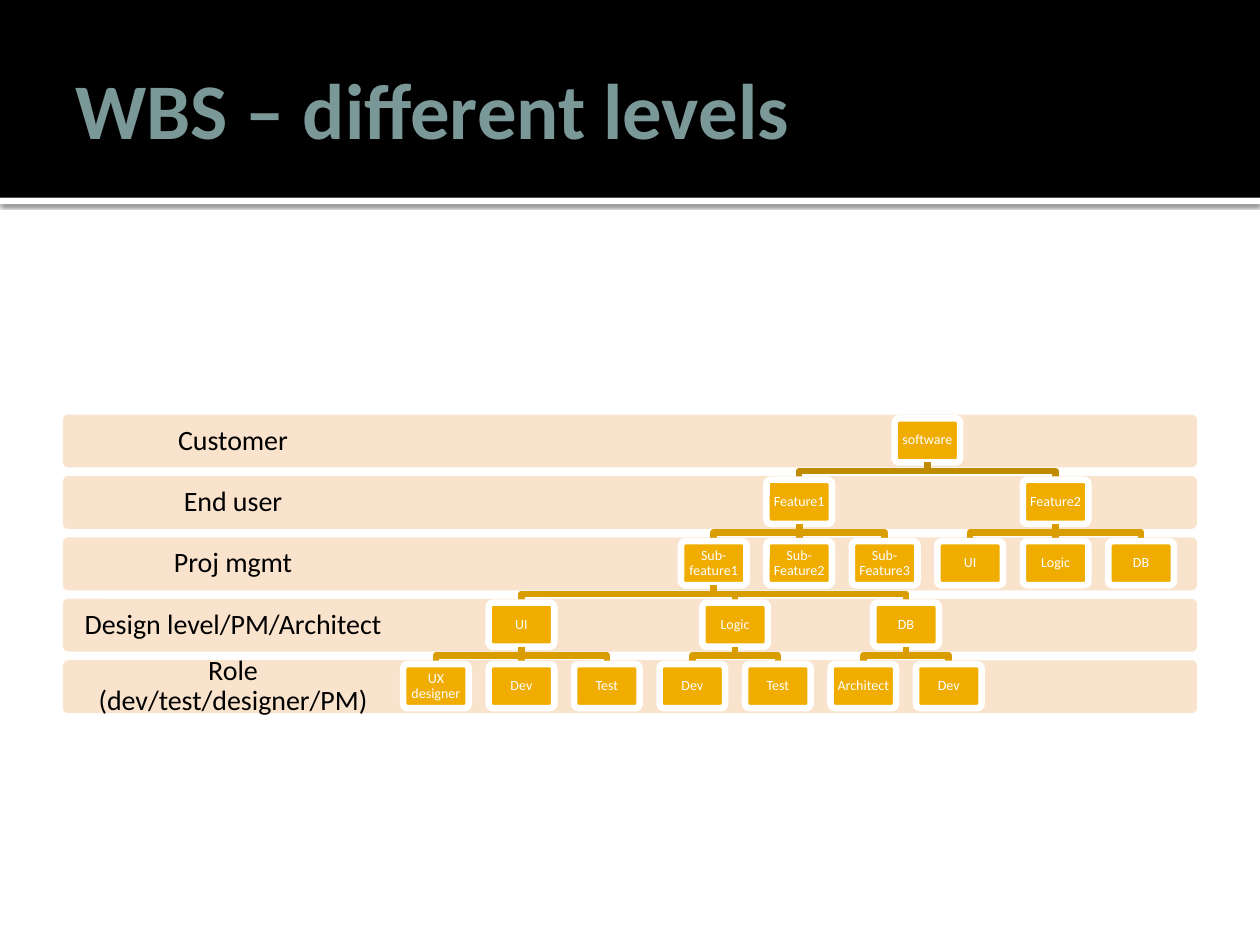
from dataclasses import dataclass, field
from typing import Optional

from lxml.etree import SubElement
from pptx import Presentation
from pptx.dml.color import RGBColor
from pptx.enum.shapes import MSO_CONNECTOR as Connector
from pptx.enum.shapes import MSO_SHAPE as Preset
from pptx.enum.text import MSO_ANCHOR as Anchor
from pptx.enum.text import PP_ALIGN as Align
from pptx.oxml.ns import qn
from pptx.util import Inches, Pt


@dataclass(frozen=True)
class Theme:
    font: str = "Calibri"
    black: str = "000000"
    white: str = "FFFFFF"
    title: str = "7B9899"
    band: str = "F9E3CC"
    box: str = "F0AD00"
    root_link: str = "C08B00"
    link: str = "DA9D00"
    title_size: float = 45
    label_size: float = 16
    box_size: float = 8
    line_width: float = 3.78
    corner: float = 0.1


@dataclass
class Node:
    text: str
    children: list["Node"] = field(default_factory=list)
    column: float = 0


THEME = Theme()
LEVELS = ["Customer", "End user", "Proj mgmt", "Design level/PM/Architect",
          "Role (dev/test/designer/PM)"]
TREE = Node("software", [
    Node("Feature1", [
        Node("Sub-feature1", [
            Node("UI", [Node("UX designer"), Node("Dev"), Node("Test")]),
            Node("Logic", [Node("Dev"), Node("Test")]),
            Node("DB", [Node("Architect"), Node("Dev")]),
        ]),
        Node("Sub-Feature2"),
        Node("Sub-Feature3"),
    ]),
    Node("Feature2", [Node("UI"), Node("Logic"), Node("DB")]),
])

BAND_LEFT, BAND_WIDTH, BAND_HEIGHT, LABEL_WIDTH = 0.5, 9, 0.42, 2.7
FIRST_BAND, LAST_BAND = 3.29, 5.24
ROW_PITCH = (LAST_BAND - FIRST_BAND) / (len(LEVELS) - 1)
FIRST_COLUMN, LAST_COLUMN = 3.46, 7.53
COLUMN_PITCH = (LAST_COLUMN - FIRST_COLUMN) / 6
BOX_WIDTH, BOX_HEIGHT, BOX_OFFSET = 0.52, 0.35, 0.03


def color(value: str) -> RGBColor:
    return RGBColor.from_string(value)


def add_block(slide, preset, left: float, top: float, width: float, height: float,
              fill: str, line: Optional[str] = None):
    shape = slide.shapes.add_shape(
        preset, Inches(left), Inches(top), Inches(width), Inches(height))
    shape.shadow.inherit = False
    shape.fill.solid()
    shape.fill.fore_color.rgb = color(fill)
    if preset == Preset.ROUNDED_RECTANGLE:
        shape.adjustments[0] = THEME.corner
    if line:
        style_line(shape.line, line)
    else:
        shape.line.fill.background()
    return shape


def style_line(line, value: str) -> None:
    line.color.rgb = color(value)
    line.width = Pt(THEME.line_width)


def write(shape, text: str, size: float, value: str, inset: float,
          align=Align.CENTER, spacing: float = 0.9, bold: bool = False) -> None:
    frame = shape.text_frame
    frame.word_wrap = True
    frame.vertical_anchor = Anchor.MIDDLE
    frame.margin_left = frame.margin_right = Inches(inset)
    frame.margin_top = frame.margin_bottom = Inches(inset)
    frame.text = text
    paragraph = frame.paragraphs[0]
    paragraph.alignment = align
    paragraph.line_spacing = spacing
    font = paragraph.runs[0].font
    font.name, font.size, font.bold = THEME.font, Pt(size), bold
    font.color.rgb = color(value)


def add_header(slide) -> None:
    strip = add_block(slide, Preset.RECTANGLE, 0, 1.57, 10, 0.05, THEME.white)
    effects = strip._element.spPr.find(qn("a:effectLst"))
    shadow = SubElement(effects, qn("a:outerShdw"), blurRad=str(Pt(2.5)),
                        dist=str(Pt(0.8)), dir="5400000", algn="t", rotWithShape="0")
    shade = SubElement(shadow, qn("a:srgbClr"), val=THEME.black)
    SubElement(shade, qn("a:alpha"), val="60000")

    add_block(slide, Preset.RECTANGLE, 0, 0, 10, 1.57, THEME.black)
    title = slide.shapes.add_textbox(Inches(0.5), Inches(0.17), Inches(9), Inches(1.37))
    write(title, "WBS – different levels", THEME.title_size, THEME.title, 0.05,
          Align.LEFT, 1.0, bold=True)
    title.text_frame.margin_left = Inches(0.1)


def add_band(slide, label: str, top: float) -> None:
    add_block(slide, Preset.ROUNDED_RECTANGLE, BAND_LEFT, top, BAND_WIDTH,
              BAND_HEIGHT, THEME.band)
    box = slide.shapes.add_textbox(Inches(BAND_LEFT), Inches(top),
                                   Inches(LABEL_WIDTH), Inches(BAND_HEIGHT))
    write(box, label, THEME.label_size, THEME.black, 0.12)


def place(node: Node, last_columns: list[float], level: int = 0) -> None:
    """Centre a parent over its children; put a leaf right of its level's last node."""
    for child in node.children:
        place(child, last_columns, level + 1)
    if node.children:
        node.column = (node.children[0].column + node.children[-1].column) / 2
    else:
        node.column = last_columns[level] + 1
    last_columns[level] = node.column


def center_x(node: Node) -> float:
    return FIRST_COLUMN + node.column * COLUMN_PITCH


def box_top(level: int) -> float:
    return FIRST_BAND + level * ROW_PITCH + BOX_OFFSET


def add_straight_link(slide, parent_box, x: float, start: float, end: float, value: str):
    link = slide.shapes.add_connector(
        Connector.STRAIGHT, Inches(x), Inches(start), Inches(x), Inches(end))
    style_line(link.line, value)
    SubElement(link._element.spPr, qn("a:effectLst"))
    link.begin_connect(parent_box, 2)
    return link


def add_elbow_link(slide, x1: float, x2: float, start: float, end: float,
                   value: str) -> None:
    middle = (start + end) / 2
    builder = slide.shapes.build_freeform(Inches(x1), Inches(start))
    builder.add_line_segments(
        [(Inches(x), Inches(y)) for x, y in ((x1, middle), (x2, middle), (x2, end))],
        close=False)
    link = builder.convert_to_shape()
    link.shadow.inherit = False
    link.fill.background()
    style_line(link.line, value)


def add_tree(slide, node: Node, level: int = 0):
    """Draw a node, then each link below it followed by that child's subtree."""
    x = center_x(node)
    box = add_block(slide, Preset.ROUNDED_RECTANGLE, x - BOX_WIDTH / 2, box_top(level),
                    BOX_WIDTH, BOX_HEIGHT, THEME.box, THEME.white)
    write(box, node.text, THEME.box_size, THEME.white, 0.03)
    start, end = box_top(level) + BOX_HEIGHT, box_top(level + 1)
    value = THEME.link if level else THEME.root_link
    for child in node.children:
        if abs(child.column - node.column) < 0.01:
            link = add_straight_link(slide, box, x, start, end, value)
            link.end_connect(add_tree(slide, child, level + 1), 0)
        else:
            add_elbow_link(slide, x, center_x(child), start, end, value)
            add_tree(slide, child, level + 1)
    return box


def main() -> None:
    presentation = Presentation()
    presentation.slide_width, presentation.slide_height = Inches(10), Inches(7.5)
    slide = presentation.slides.add_slide(presentation.slide_layouts[6])
    add_header(slide)
    for level, label in reversed(list(enumerate(LEVELS))):
        add_band(slide, label, FIRST_BAND + level * ROW_PITCH)
    place(TREE, [-1] * len(LEVELS))
    add_tree(slide, TREE)
    presentation.save("out.pptx")


if __name__ == "__main__":
    main()
